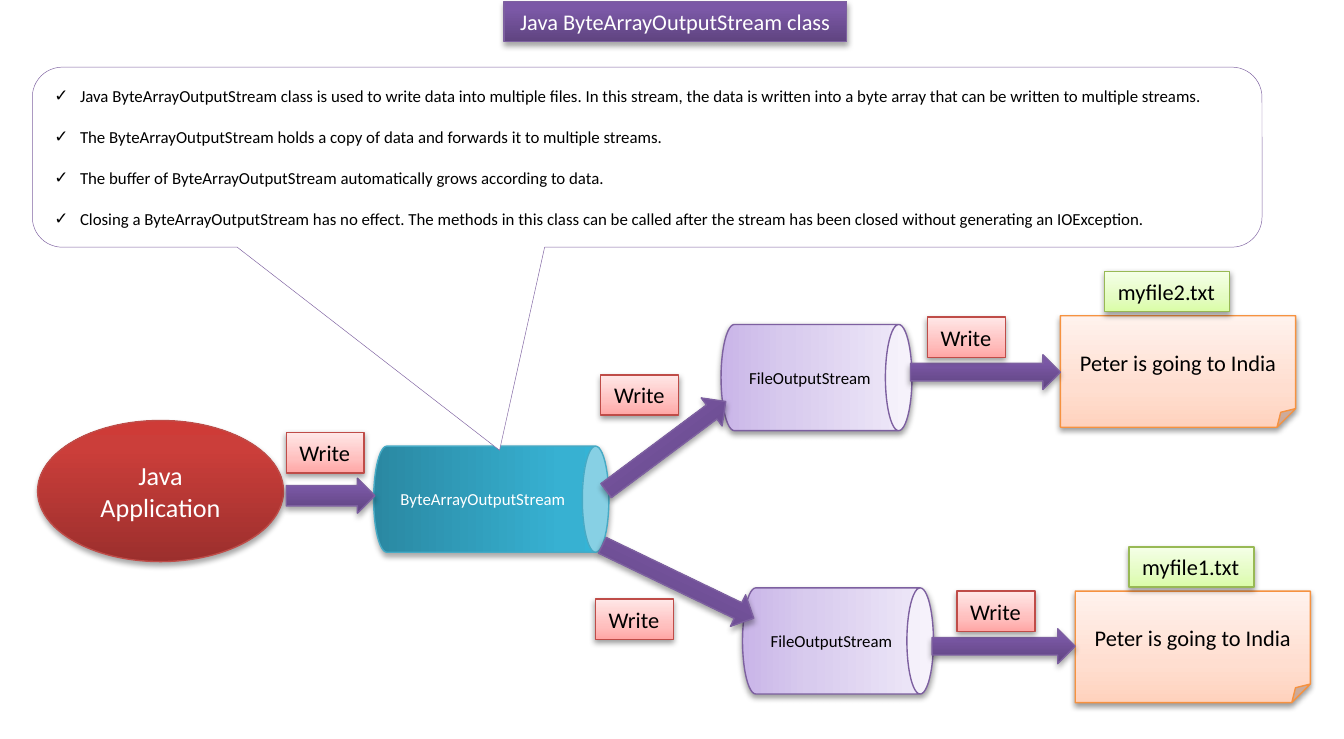
from lxml import etree
from pptx import Presentation
from pptx import util as u
from pptx.dml.color import RGBColor
from pptx.enum import shapes, text
from pptx.oxml.ns import qn

SHAPE = shapes.MSO_SHAPE
ALIGN = text.PP_ALIGN
CELL = u.Inches(0.1)
COLS, ROWS = 100, 55

COLORS = {"white": "FFFFFF", "black": "000000", "callout": "8064A2"}
STYLES = {
    "purple": {"stops": {0: "5F4480", 80: "7B58A6", 100: "7C57A8"}, "line": "7D60A0", "font": "white"},
    "red": {"stops": {0: "9C2F2D", 80: "CB3E3A", 100: "CE3B37"}, "line": "BF4C48", "font": "white"},
    "teal": {"stops": {0: "2A88A2", 80: "37B1D2", 100: "34B4D6"}, "line": "46AAC5", "font": "white"},
    "orange": {"stops": {0: "FFD2BD", 35: "FFDED0", 100: "FFF2ED"}, "line": "F69240", "font": "black"},
    "green": {"stops": {0: "DAFDA7", 35: "E4FCC2", 100: "F5FFE7"}, "line": "98B955", "font": "black"},
    "pink": {"stops": {0: "FFA6A5", 35: "FFC0BF", 100: "FFE7E7"}, "line": "BF4C48", "font": "black"},
    "lilac": {"stops": {0: "C9B5E8", 35: "D8CBEE", 100: "F0EAF9"}, "line": "7D60A0", "font": "black"},
}
POINTS = [
    "Java ByteArrayOutputStream class is used to write data into multiple files. In this stream, "
    "the data is written into a byte array that can be written to multiple streams.",
    "The ByteArrayOutputStream holds a copy of data and forwards it to multiple streams.",
    "The buffer of ByteArrayOutputStream automatically grows according to data.",
    "Closing a ByteArrayOutputStream has no effect. The methods in this class can be called "
    "after the stream has been closed without generating an IOException.",
]
BRANCHES = [
    {"box": (53.65, 23.5, 42.75, 8.3), "file": "myfile2.txt", "can_dy": 0.65, "label_dx": 3.3,
     "arrow_dy": 2.9, "tag": (15.35, 0.1), "feed": (-9.65, 8.4, 11.1, 323.3), "feed_tag": (-8.95, 4.4)},
    {"box": (55.25, 44, 42.25, 8.3), "file": "myfile1.txt", "can_dy": -0.25, "label_dx": 4,
     "arrow_dy": 2.8, "tag": (15.95, 0), "feed": (-11.05, -2, 12.5, 25.7), "feed_tag": (-10.95, 0.6)},
]


def set_format(obj, values):
    for name, value in values.items():
        setattr(obj, name, value)


def place(sp, box):
    names = ("left", "top", "width", "height")
    set_format(sp, {n: round(v * CELL) for n, v in zip(names, box)})


def paint(sp, style):
    sp.fill.gradient()
    sp.fill.gradient_angle = 90
    stops = sp.element.spPr.find(qn("a:gradFill")).find(qn("a:gsLst"))
    for gs in list(stops):
        stops.remove(gs)
    for pos, color in style["stops"].items():
        gs = etree.SubElement(stops, qn("a:gs"), pos=str(pos * 1000))
        etree.SubElement(gs, qn("a:srgbClr"), val=color)
    sp.line.color.rgb = RGBColor.from_string(style["line"])
    sp.line.width = u.Pt(0.75)
    sp.shadow.inherit = False
    dark = style["font"] == "white"
    effects = sp.element.spPr.find(qn("a:effectLst"))
    shadow = etree.SubElement(effects, qn("a:outerShdw"), blurRad="40000",
                              dist="23000" if dark else "20000", dir="5400000", rotWithShape="0")
    color = etree.SubElement(shadow, qn("a:srgbClr"), val=COLORS["black"])
    etree.SubElement(color, qn("a:alpha"), val="35000" if dark else "38000")


def add_run(p, words, size, color):
    r = p.add_run()
    r.text = words
    set_format(r.font, {"name": "Calibri", "size": u.Pt(size)})
    r.font.color.rgb = RGBColor.from_string(COLORS[color])


def write(sp, words, size, color, align=ALIGN.CENTER, **frame):
    tf = sp.text_frame
    set_format(tf, {"word_wrap": True, "auto_size": text.MSO_AUTO_SIZE.NONE,
                    "vertical_anchor": text.MSO_ANCHOR.MIDDLE, **frame})
    p = tf.paragraphs[0]
    p.alignment = align
    add_run(p, words, size, color)


def add_block(s, kind, box, look, words="", size=12, **frame):
    sp = s.shapes.add_shape(kind, 0, 0, 0, 0)
    place(sp, box)
    paint(sp, STYLES[look])
    if words:
        write(sp, words, size, STYLES[look]["font"], **frame)
    return sp


def add_tag(s, x, y, words="Write", width=5.8, look="pink"):
    add_block(s, SHAPE.RECTANGLE, (x, y, width, 3), look, words, align=ALIGN.LEFT, word_wrap=False,
              vertical_anchor=text.MSO_ANCHOR.TOP)


def add_arrow(s, x, y, width, rotation=0):
    sp = add_block(s, SHAPE.RIGHT_ARROW, (x, y, width, 2.6), "purple")
    sp.rotation = rotation
    return sp


def add_stream(s, box, look, words):
    x, y, w, h = box
    upright = (x + (w - h) / 2, y + (h - w) / 2, h, w)
    sp = add_block(s, SHAPE.CAN, upright, look, words, 9)
    sp.rotation = 90
    sp.text_frame._txBody.bodyPr.set("vert", "vert270")


def title_bar(s, box):
    sp = s.shapes.title
    place(sp, box)
    paint(sp, STYLES["purple"])
    write(sp, "Java ByteArrayOutputStream class", 12, "white")


def key_points(s, box):
    callout = s.shapes.add_shape(SHAPE.ROUNDED_RECTANGULAR_CALLOUT, 0, 0, 0, 0)
    place(callout, box)
    for i, value in enumerate((-0.12, 1.628, 0.167)):
        callout.adjustments[i] = value
    callout.shadow.inherit = False
    callout.fill.solid()
    callout.fill.fore_color.rgb = RGBColor.from_string(COLORS["white"])
    callout.line.color.rgb = RGBColor.from_string(COLORS["callout"])
    callout.line.width = u.Pt(0.25)

    body = s.placeholders[1]
    body.element.getparent().append(body.element)
    x, y, w, h = box
    place(body, (x + 0.65, y, w - 1.3, h))
    tf = body.text_frame
    set_format(tf, {"word_wrap": True, "auto_size": text.MSO_AUTO_SIZE.NONE,
                    "vertical_anchor": text.MSO_ANCHOR.MIDDLE})
    for i, point in enumerate(POINTS):
        p = tf.add_paragraph() if i else tf.paragraphs[0]
        pPr = p._p.get_or_add_pPr()
        set_format(p, {"space_before": u.Pt(11 if i else 0), "space_after": u.Pt(0)})
        indent = u.Inches(0.19)
        pPr.set("marL", str(indent))
        pPr.set("indent", str(-indent))
        etree.SubElement(pPr, qn("a:buChar"), char="✓")
        add_run(p, point, 9, "black")


def source_chain(s, box):
    x, y, w, h = box
    add_block(s, SHAPE.OVAL, (x, y, 18.3, h), "red", "Java Application", 14)
    add_stream(s, (x + w - 17.5, y + 1.9, 17.5, 7.9), "teal", "ByteArrayOutputStream\u00a0".replace("\u00a0", " "))
    add_arrow(s, x + 18.5, y + 4.3, 6.6).adjustments[0] = 0.58
    add_tag(s, x + 18.5, y + 0.9)


def branch(s, box, file, can_dy, label_dx, arrow_dy, tag, feed, feed_tag):
    x, y, w, h = box
    can_w, note_w = 14.2, 17.5
    note_x = x + w - note_w
    add_block(s, SHAPE.FOLDED_CORNER, (note_x, y, note_w, h), "orange", "Peter is going to India")
    add_tag(s, note_x + label_dx, y - 3.3, file, 9.3, "green")
    add_stream(s, (x, y + can_dy, can_w, 7.9), "lilac", "FileOutputStream ")
    add_arrow(s, x + can_w - 0.1, y + arrow_dy, note_x - x - can_w + 0.1)
    dx, dy, length, rotation = feed
    add_arrow(s, x + dx, y + dy, length, rotation)
    for dx, dy in (tag, feed_tag):
        add_tag(s, x + dx, y + dy)


def main():
    prs = Presentation()
    set_format(prs, {"slide_width": COLS * CELL, "slide_height": ROWS * CELL})
    s = prs.slides.add_slide(prs.slide_layouts[1])
    title_bar(s, (37.5, 0.1, 25.5, 3))
    source_chain(s, (2.8, 31.3, 42.5, 10.5))
    for parts in BRANCHES:
        branch(s, **parts)
    key_points(s, (2.4, 5, 91.5, 13.4))
    prs.save("out.pptx")


if __name__ == "__main__":
    main()
